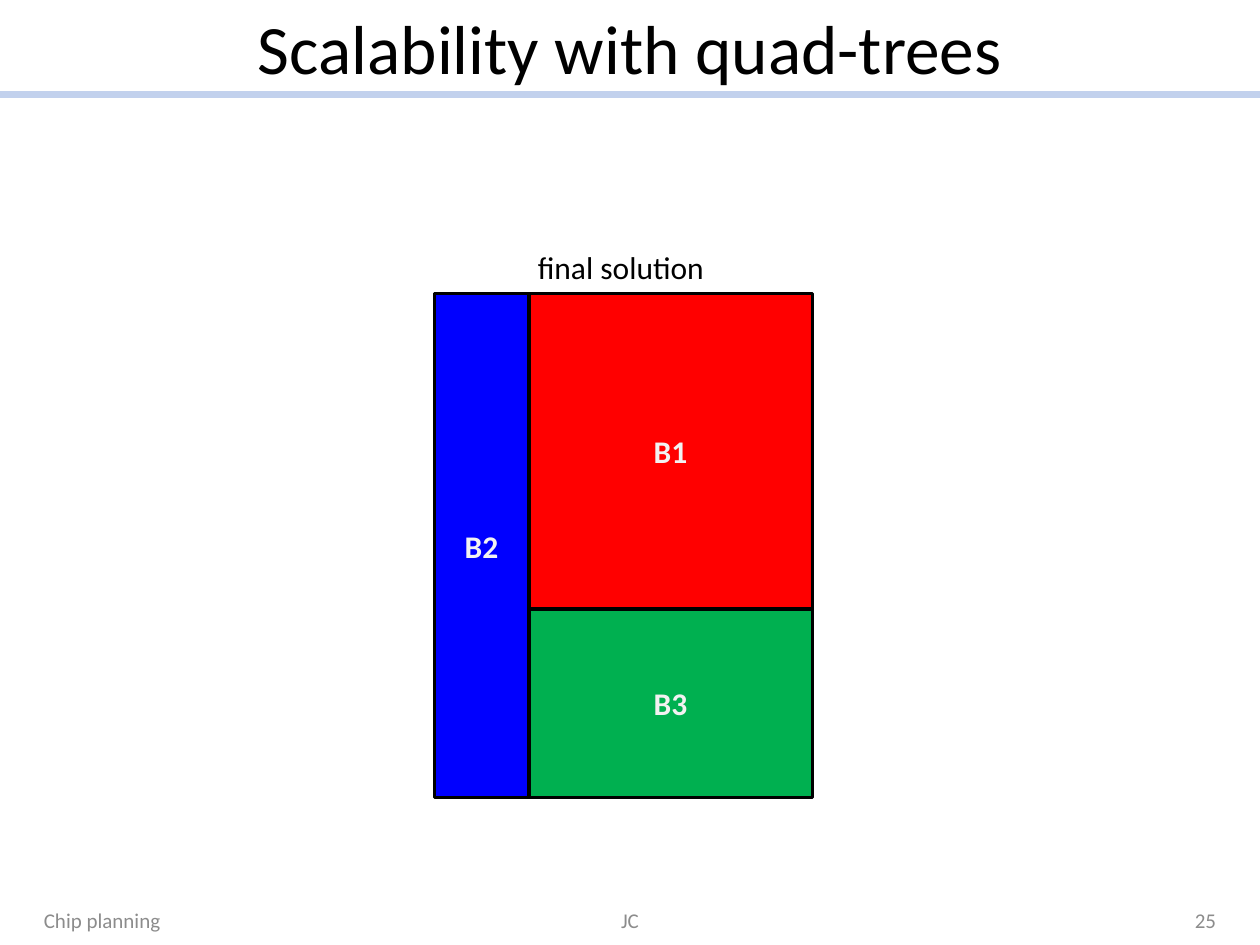
from lxml import etree
from pptx import Presentation
from pptx.dml.color import RGBColor
from pptx.enum.shapes import MSO_CONNECTOR, MSO_SHAPE
from pptx.enum.text import MSO_ANCHOR, PP_ALIGN
from pptx.oxml.ns import qn
from pptx.util import Inches, Pt

RECT = MSO_SHAPE.RECTANGLE
LINE = MSO_CONNECTOR.STRAIGHT
MID = MSO_ANCHOR.MIDDLE
TOP = MSO_ANCHOR.TOP
LEFT, CENTER, RIGHT = PP_ALIGN.LEFT, PP_ALIGN.CENTER, PP_ALIGN.RIGHT
BLACK, GRAY, PALE = "000000", "8C8C8C", "F2F2F2"


def color(code):
    return RGBColor.from_string(code)


def style(shape, text, size, code, align=LEFT, bold=False):
    frame = shape.text_frame
    frame.text = text
    par = frame.paragraphs[0]
    par.alignment = align
    par.font.name = "Calibri"
    par.font.size = Pt(size)
    par.font.bold = bold
    par.font.color.rgb = color(code)


def add_text(slide, box, text, size, code, align=LEFT, bold=False,
             wrap=True, anchor=TOP):
    shape = slide.shapes.add_textbox(*map(Inches, box))
    shape.text_frame.word_wrap = wrap
    shape.text_frame.vertical_anchor = anchor
    style(shape, text, size, code, align, bold)


def add_rect(slide, box, fill=None, line=None):
    shape = slide.shapes.add_shape(RECT, *map(Inches, box))
    shape.shadow.inherit = False
    if fill:
        shape.fill.solid()
        shape.fill.fore_color.rgb = color(fill)
    else:
        shape.fill.background()
    if line:
        shape.line.color.rgb = color(line)
        shape.line.width = Pt(2)
    else:
        shape.line.fill.background()


def add_line(slide, ends, code, width):
    line = slide.shapes.add_connector(LINE, *map(Inches, ends))
    line.line.color.rgb = color(code)
    line.line.width = Pt(width)
    etree.SubElement(line._element.spPr, qn("a:effectLst"))


def add_header(slide, box):
    left, top, width, height = box
    add_line(slide, (left, top + height, left + width, top + height),
             "C2D1ED", 4)
    title = slide.shapes.title
    title.left, title.top = Inches(left + 0.5), Inches(top)
    title.width, title.height = Inches(width - 1), Inches(height)
    title.text_frame.vertical_anchor = MID
    style(title, "Scalability with quad-trees", 39.6, BLACK, CENTER)


def add_plan(slide, box):
    left, top, width, height = box
    # B2 takes a quarter of the width, B1 five eighths of the height
    split_x, split_y = left + width / 4, top + height * 5 / 8
    right, bottom = left + width, top + height
    blocks = [
        ("B3", "00B050", (split_x, split_y, right - split_x, bottom - split_y)),
        ("B2", "0000FF", (left, top, split_x - left, height)),
        ("B1", "FF0000", (split_x, top, right - split_x, split_y - top)),
    ]
    for _, fill, area in blocks:
        add_rect(slide, area, fill=fill)

    # Frame and cuts
    add_rect(slide, box, line=BLACK)
    add_line(slide, (split_x, top, split_x, bottom), BLACK, 2.25)
    add_line(slide, (right, split_y, split_x, split_y), BLACK, 2.25)

    # Names in the middle of the blocks, caption above
    wide, high = 0.47, 0.4
    for name, _, (x, y, w, h) in blocks:
        spot = (x + (w - wide) / 2, y + (h - high) / 2, wide, high)
        add_text(slide, spot, name, 18, PALE, bold=True, wrap=False)
    add_text(slide, (left + 0.72, top - 0.41, 1.54, high), "final solution",
             18, BLACK, wrap=False)


def add_footer(slide, box):
    left, top, width, height = box
    parts = [("Chip planning", LEFT, 0, 2.33),
             ("JC", CENTER, (width - 3.17) / 2, 3.17),
             ("25", RIGHT, width - 2.33, 2.33)]
    for text, align, shift, wide in parts:
        add_text(slide, (left + shift, top, wide, height), text, 12, GRAY,
                 align, anchor=MID)


def main():
    deck = Presentation()
    deck.slide_width, deck.slide_height = Inches(10), Inches(7.5)
    slide = deck.slides.add_slide(deck.slide_layouts[5])
    add_header(slide, (0, 0, 10, 0.75))
    add_plan(slide, (3.45, 2.33, 3, 4))
    add_footer(slide, (0.25, 7.1, 9.5, 0.4))
    deck.save("out.pptx")


if __name__ == "__main__":
    main()
